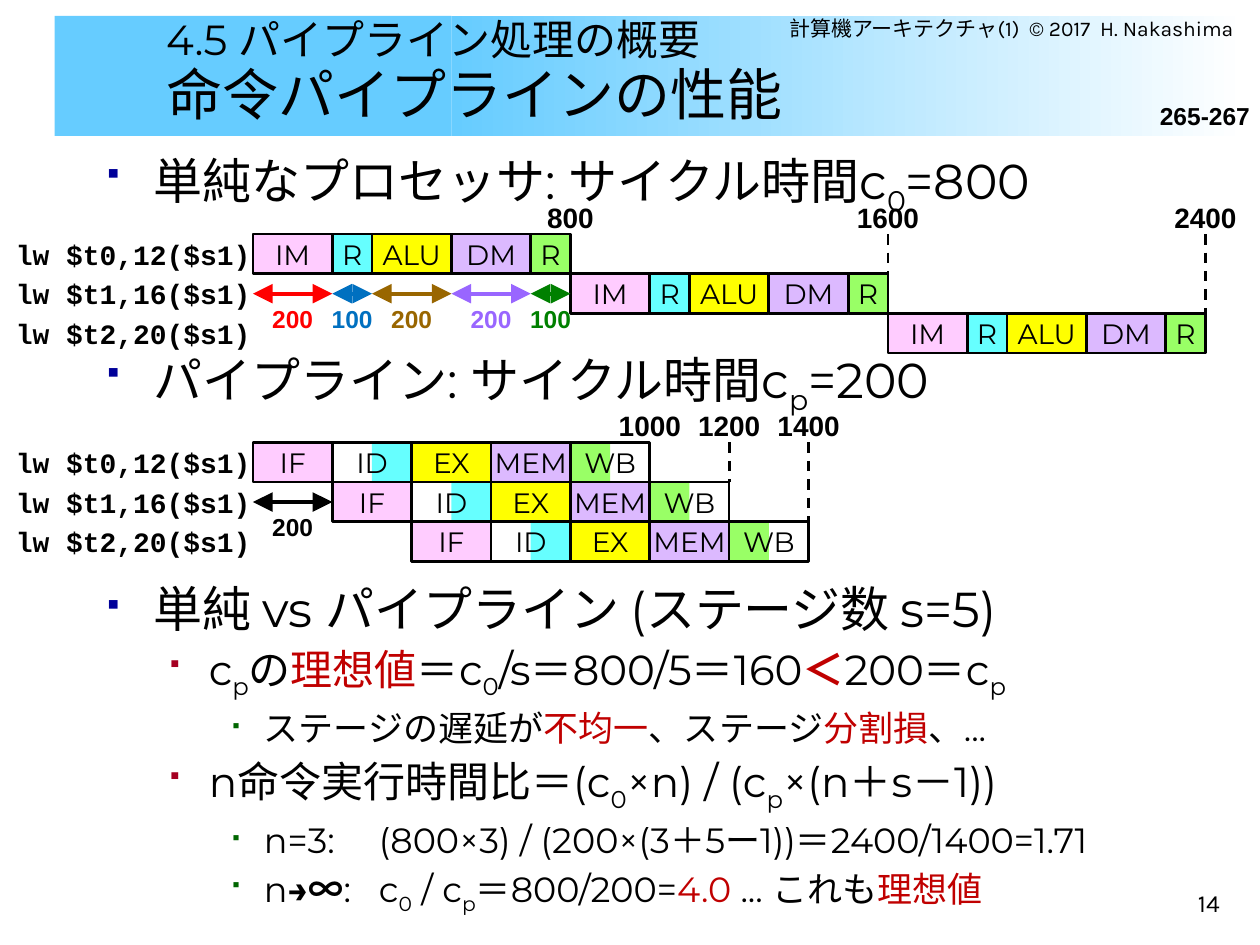
from lxml import etree
from pptx import Presentation
from pptx import util as u
from pptx.dml import color
from pptx.enum import dml, shapes, text
from pptx.oxml import ns

Cm, Pt, RGB = u.Cm, u.Pt, color.RGBColor.from_string
RIGHT, CENTER = text.PP_ALIGN.RIGHT, text.PP_ALIGN.CENTER
TOP, MIDDLE, BOTTOM = text.MSO_ANCHOR.TOP, text.MSO_ANCHOR.MIDDLE, text.MSO_ANCHOR.BOTTOM
COLORS = {
    "black": "000000", "white": "FFFFFF", "band": "66CCFF", "accent": "C00000",
    "pink": "FFCCFF", "cyan": "66FFFF", "yellow": "FFFF00", "lilac": "DCB9FF", "lime": "99FF66",
    "red": "FF0000", "blue": "0070C0", "brown": "996600", "violet": "9966FF", "green": "008000",
    "navy": "000099", "crimson": "A50021", "forest": "006600",
}
CJK = "Noto Sans CJK JP"

deck = Presentation()
deck.slide_width, deck.slide_height = Cm(25.4), Cm(19.05)
slide = deck.slides.add_slide(deck.slide_layouts[6])


def add_run(paragraph, wording, size, font="Montserrat", tint="black", bold=False, sub=False):
    run = paragraph.add_run()
    run.text = wording
    run.font.size, run.font.name, run.font.bold = Pt(size), font, bold
    run.font.color.rgb = RGB(COLORS[tint])
    props = run._r.get_or_add_rPr()
    etree.SubElement(props, ns.qn("a:ea")).set("typeface", CJK)
    if sub:
        props.set("baseline", "-25000")


def add_label(x, y, w, h, wording, size, font, align, anchor, insets, tint="black", bold=True):
    frame = slide.shapes.add_textbox(Cm(x), Cm(y), Cm(w), Cm(h)).text_frame
    frame.word_wrap, frame.vertical_anchor = False, anchor
    (frame.margin_left, frame.margin_top,
     frame.margin_right, frame.margin_bottom) = [Cm(inset) for inset in insets]
    frame.paragraphs[0].alignment = align
    add_run(frame.paragraphs[0], wording, size, font, tint, bold)


# Header band: a part fading to white and a plain part
for x, w, fades in ((9.1, 16, True), (1.1, 8, False)):
    band = slide.shapes.add_shape(shapes.MSO_SHAPE.RECTANGLE, Cm(x), Cm(0.32), Cm(w), Cm(2.42))
    band.shadow.inherit = False
    band.line.fill.background()
    if fades:
        band.fill.gradient()
        band.fill.gradient_angle = 0
        for stop, position, tint in zip(band.fill.gradient_stops, (0, 1), ("band", "white")):
            stop.position, stop.color.rgb = position, RGB(COLORS[tint])
    else:
        band.fill.solid()
        band.fill.fore_color.rgb = RGB(COLORS["band"])

# Title
title = slide.shapes.add_textbox(Cm(3.1), Cm(0.32), Cm(21.6), Cm(2.4)).text_frame
title.word_wrap, title.vertical_anchor = True, BOTTOM
heading = title.paragraphs[0]
heading.line_spacing = 0.95
add_run(heading, "4.5 パイプライン処理の概要", 24)
heading.add_line_break()
add_run(heading, "命令パイプラインの性能", 32)

# Credit, textbook pages and slide number
add_label(14.6, 0.32, 10.52, 1, "計算機アーキテクチャ(1)  © 2017  H. Nakashima", 12, "Karla",
          RIGHT, TOP, (0.25, 0, 0.25, 0.13), bold=False)
add_label(22.7, 1.93, 2.7, 0.79, "265-267", 14, "Arial", RIGHT, BOTTOM, (0.2, 0, 0.2, 0.1))
add_label(19.56, 17.35, 5.28, 1.27, "14", 14, "Karla", RIGHT, BOTTOM,
          (0.25, 0.13, 0.25, 0.13), bold=False)

# Body: each box has its top and paragraphs of (level, space before, runs);
# run marks are _ subscript, ! accent colour, * bold, @ symbol font
SECTIONS = [
    (2.92, [(0, 0, [("単純なプロセッサ: サイクル時間c", ""), ("0", "_"), ("=800", "")])]),
    (6.93, [(0, 0, [("パイプライン: サイクル時間c", ""), ("p", "_"), ("=200", "")])]),
    (11.67, [
        (0, 0, [("単純 vs パイプライン (ステージ数 s=5)", "")]),
        (1, 3.5, [("c", ""), ("p", "_"), ("の", ""), ("理想値", "!"), ("＝c", ""), ("0", "_"),
                  ("/s＝800/5＝160", ""), ("＜", "!*"), ("200＝c", ""), ("p", "_")]),
        (2, 9, [("ステージの遅延が", ""), ("不均一", "!"), ("、ステージ", ""),
                ("分割損", "!"), ("、...", "")]),
        (1, 4, [("n命令実行時間比＝(c", ""), ("0", "_"), ("×n) / (c", ""), ("p", "_"),
                ("×(n＋s－1))", "")]),
        (2, 9, [("n=3:\t(800×3) / (200×(3＋5ー1))＝2400/1400=1.71", "")]),
        (2, 4, [("n", ""), ("→", "*"), ("∞", "*@"), (":\tc", ""), ("0", "_"), (" / c", ""),
                ("p", "_"), ("＝800/200=", ""), ("4.0", "!"), (" ... これも", ""),
                ("理想値", "!")]),
    ]),
]
# Per level: text size, indent, hanging, bullet colour, bullet percent
LEVELS = [(28, 0.95, 0.95, "navy", 60), (24, 2.06, 0.79, "crimson", 55),
          (20, 3.17, 0.64, "forest", 50)]
for top, paragraphs in SECTIONS:
    body = slide.shapes.add_textbox(Cm(1.9), Cm(top), Cm(23), Cm(1.4)).text_frame
    body.word_wrap = True
    for order, (level, space, runs) in enumerate(paragraphs):
        size, indent, hanging, bullet_tint, percent = LEVELS[level]
        line = body.add_paragraph() if order else body.paragraphs[0]
        line.level, line.line_spacing, line.space_before = level, 0.9, Pt(space)
        props = line._p.get_or_add_pPr()
        props.set("marL", str(Cm(indent)))
        props.set("indent", str(-Cm(hanging)))
        bullet_color = etree.SubElement(props, ns.qn("a:buClr"))
        etree.SubElement(bullet_color, ns.qn("a:srgbClr")).set("val", COLORS[bullet_tint])
        etree.SubElement(props, ns.qn("a:buSzPct")).set("val", str(percent * 1000))
        etree.SubElement(props, ns.qn("a:buFont")).set("typeface", "Wingdings")
        etree.SubElement(props, ns.qn("a:buChar")).set("char", "§")  # a square in Wingdings
        if any("\t" in wording for wording, marks in runs):
            tab = etree.SubElement(etree.SubElement(props, ns.qn("a:tabLst")), ns.qn("a:tab"))
            tab.set("pos", str(Cm(5.49)))
            tab.set("algn", "l")
        for wording, marks in runs:
            add_run(line, wording, size, CJK if "@" in marks else "Montserrat",
                    "accent" if "!" in marks else "black", "*" in marks, "_" in marks)

# Timing grid: 200 time units are one slot
X0, SLOT, ROW = 5.1, 1.6, 0.8
SIMPLE_TOP, PIPE_TOP = 4.72, 8.92
INSTRUCTIONS = ["lw $t0,12($s1)", "lw $t1,16($s1)", "lw $t2,20($s1)"]
# Stages: name, slots, fill, filled from, filled to (as shares of the width)
SIMPLE = [("IM", 1, "pink", 0, 1), ("R", 0.5, "cyan", 0, 1), ("ALU", 1, "yellow", 0, 1),
          ("DM", 1, "lilac", 0, 1), ("R", 0.5, "lime", 0, 1)]
PIPE = [("IF", 1, "pink", 0, 1), ("ID", 1, "cyan", 0.5, 1), ("EX", 1, "yellow", 0, 1),
        ("MEM", 1, "lilac", 0, 1), ("WB", 1, "lime", 0, 0.5)]

for top, stages, delay in ((SIMPLE_TOP, SIMPLE, 4), (PIPE_TOP, PIPE, 1)):
    for row, instruction in enumerate(INSTRUCTIONS):
        y, x = top + row * ROW, X0 + row * delay * SLOT
        add_label(0, y, 5.3, ROW, instruction, 16, "Courier New", RIGHT, MIDDLE,
                  (0, 0.13, 0.25, 0.13))
        for name, slots, tint, start, end in stages:
            w = slots * SLOT
            is_half = end - start < 1
            if is_half:
                half = slide.shapes.add_shape(shapes.MSO_SHAPE.RECTANGLE, Cm(x + start * w), Cm(y),
                                              Cm((end - start) * w), Cm(ROW))
                half.shadow.inherit = False
                half.fill.solid()
                half.fill.fore_color.rgb = RGB(COLORS[tint])
                half.line.fill.background()
            stage = slide.shapes.add_shape(shapes.MSO_SHAPE.RECTANGLE, Cm(x), Cm(y), Cm(w), Cm(ROW))
            stage.shadow.inherit = False
            if is_half:
                stage.fill.background()
            else:
                stage.fill.solid()
                stage.fill.fore_color.rgb = RGB(COLORS[tint])
            stage.line.color.rgb, stage.line.width = RGB(COLORS["black"]), Pt(1.5)
            stage.text_frame.word_wrap = False
            stage.text_frame.vertical_anchor = MIDDLE
            stage.text_frame.paragraphs[0].alignment = CENTER
            add_run(stage.text_frame.paragraphs[0], name, 16)
            x += w

# Time marks and stage lengths: slot, top, wording, size, colour
marks = [(4 * n, SIMPLE_TOP - 0.4, str(800 * n), 16, "black") for n in (1, 2, 3)]
marks += [(n, PIPE_TOP - 0.4, str(200 * n), 16, "black") for n in (5, 6, 7)]
# Lines: from slot, top, to slot, bottom, colour, is arrow
lines = [(4 * n, SIMPLE_TOP, 4 * n, SIMPLE_TOP + (n - 1) * ROW, "black", False) for n in (2, 3)]
lines += [(n, PIPE_TOP, n, PIPE_TOP + (n - 5) * ROW, "black", False) for n in (6, 7)]
spans = [(0, 1, SIMPLE_TOP, "red"), (1, 0.5, SIMPLE_TOP, "blue"), (1.5, 1, SIMPLE_TOP, "brown"),
         (2.5, 1, SIMPLE_TOP, "violet"), (3.5, 0.5, SIMPLE_TOP, "green"), (0, 1, PIPE_TOP, "black")]
for slot, slots, top, tint in spans:
    y = top + 1.5 * ROW
    lines.append((slot, y, slot + slots, y, tint, True))
    marks.append((slot + slots / 2, top + 2 * ROW, str(int(200 * slots)), 14, tint))

for slot, y, wording, size, tint in marks:
    add_label(X0 + slot * SLOT - 0.7, y - 0.4, 1.4, 0.8, wording, size, "Arial", CENTER, BOTTOM,
              (0, 0.13, 0, 0), tint)

for start, y1, end, y2, tint, is_arrow in lines:
    rule = slide.shapes.add_connector(shapes.MSO_CONNECTOR.STRAIGHT, Cm(X0 + start * SLOT), Cm(y1),
                                      Cm(X0 + end * SLOT), Cm(y2))
    rule.line.color.rgb, rule.line.width = RGB(COLORS[tint]), Pt(2.25 if is_arrow else 1.5)
    if is_arrow:
        for end_tag in ("a:headEnd", "a:tailEnd"):
            tip = etree.SubElement(rule.line._get_or_add_ln(), ns.qn(end_tag))
            for key, value in (("type", "triangle"), ("w", "lg"), ("len", "lg")):
                tip.set(key, value)
    else:
        rule.line.dash_style = dml.MSO_LINE.DASH
    etree.SubElement(rule._element.spPr, ns.qn("a:effectLst"))

deck.save("out.pptx")
